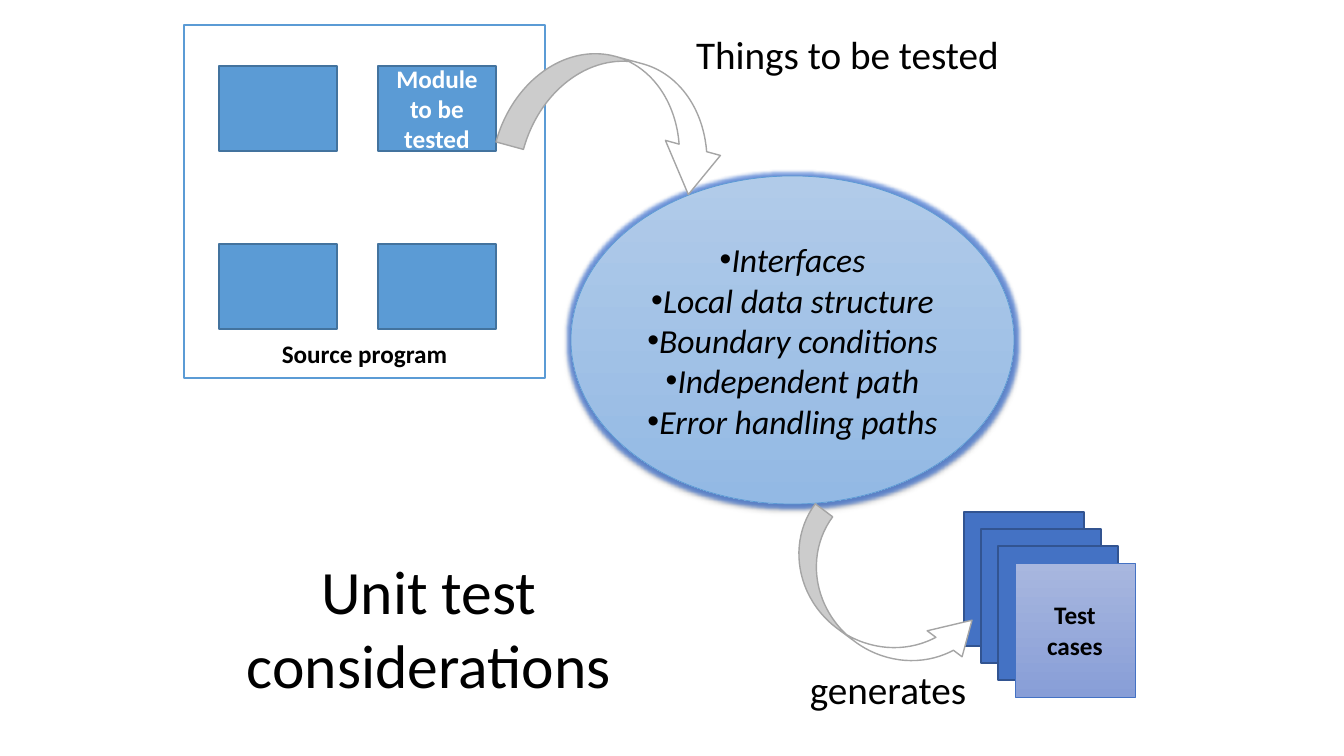
from lxml import etree
from pptx import Presentation
from pptx import util as u
from pptx.dml.color import RGBColor
from pptx.enum import shapes, text
from pptx.oxml import ns

PX = 914400 / 100.8
FONT = "Calibri"
COLORS = {
    "white": "FFFFFF", "black": "000000", "module": "5B9BD5", "module_line": "43739E",
    "case": "4472C4", "case_line": "325491", "arrow_line": "A5A5A5", "glow": "2E6BDC",
    "oval_top": "B1CBE9", "oval_bottom": "93B9E4",
    "case_top": "A8B7DF", "case_bottom": "889ED7",
}
TITLE = ("Things to be tested", (686, 25, 328, 63))
PROGRAM = ("Source program", (184, 25, 361, 353))
MODULES = [["", "Module to be tested"], ["", ""]]
MODULE_START, MODULE_STEP, MODULE_SIZE = (219, 66), (159, 178), (118, 85)
CHECKS = ["Interfaces", "Local data structure", "Boundary conditions",
          "Independent path", "Error handling paths"]
OVAL = (571, 176, 443, 328)
CASES = ["", "", "", "Test cases"]
CASE_START, CASE_STEP, CASE_SIZE = (964, 512), 17, (120, 134)
ARROWS = [((768, 560, 217, 87), 36.6, True), ((507, 60, 228, 114), 15.3, False)]
LABELS = [("generates", (792, 663, 192, 51), 28),
          ("Unit test considerations", (219, 546, 420, 162), 44)]


def emu(px):
    return u.Emu(round(px * PX))


def rgb(name):
    return RGBColor.from_string(COLORS[name])


def write(shape, lines, size, color="black", bold=False, italic=False,
          align=text.PP_ALIGN.CENTER, anchor=text.MSO_ANCHOR.MIDDLE):
    frame = shape.text_frame
    frame.word_wrap = True
    frame.auto_size = text.MSO_AUTO_SIZE.NONE
    frame.vertical_anchor = anchor
    for index, line in enumerate(lines):
        paragraph = frame.add_paragraph() if index else frame.paragraphs[0]
        paragraph.alignment = align
        run = paragraph.add_run()
        run.text = line
        font = run.font
        font.name, font.size = FONT, u.Pt(size)
        font.bold, font.italic = bold, italic
        font.color.rgb = rgb(color)
    return frame


def draw(slide, kind, box, fills, line, width=1):
    shape = slide.shapes.add_shape(kind, *map(emu, box))
    shape.shadow.inherit = False
    if len(fills) == 1:
        shape.fill.solid()
        shape.fill.fore_color.rgb = rgb(fills[0])
    else:
        shape.fill.gradient()
        shape.fill.gradient_angle = 270
        for stop, name in zip(shape.fill.gradient_stops, fills):
            stop.color.rgb = rgb(name)
    shape.line.color.rgb = rgb(line)
    shape.line.width = u.Pt(width)
    return shape


def add_effect(shape, tag, color, alpha, **attributes):
    effects = shape._element.spPr.find(ns.qn("a:effectLst"))
    effect = etree.SubElement(effects, ns.qn(tag), **attributes)
    shade = etree.SubElement(effect, ns.qn("a:srgbClr"), val=COLORS[color])
    etree.SubElement(shade, ns.qn("a:alpha"), val=str(alpha * 1000))


def add_bullet(paragraph):
    properties = paragraph._p.get_or_add_pPr()
    properties.set("marL", str(emu(12)))
    properties.set("indent", str(-emu(12)))
    etree.SubElement(properties, ns.qn("a:buFont"), typeface="Arial")
    etree.SubElement(properties, ns.qn("a:buChar"), char="•")


def add_modules(slide):
    caption, box = PROGRAM
    program = draw(slide, shapes.MSO_SHAPE.RECTANGLE, box, ["white"], "module")
    frame = write(program, [caption], 18, bold=True, anchor=text.MSO_ANCHOR.BOTTOM)
    frame.margin_bottom = emu(9)
    for row, names in enumerate(MODULES):
        for column, name in enumerate(names):
            left = MODULE_START[0] + column * MODULE_STEP[0]
            top = MODULE_START[1] + row * MODULE_STEP[1]
            module = draw(slide, shapes.MSO_SHAPE.RECTANGLE, (left, top, *MODULE_SIZE),
                          ["module"], "module_line")
            if name:
                write(module, [name], 18, "white", bold=True)


def add_checks(slide):
    oval = draw(slide, shapes.MSO_SHAPE.OVAL, OVAL, ["oval_top", "oval_bottom"], "module", 0.5)
    add_effect(oval, "a:glow", "glow", 60, rad=str(u.Pt(5)))
    add_effect(oval, "a:outerShdw", "black", 38, blurRad=str(u.Pt(3.1)),
               dist=str(u.Pt(1.6)), dir="5400000", rotWithShape="0")
    for paragraph in write(oval, CHECKS, 24, italic=True).paragraphs:
        add_bullet(paragraph)


def add_cases(slide):
    for index, name in enumerate(CASES):
        left, top = (start + index * CASE_STEP for start in CASE_START)
        fills, line, width = ["case"], "case_line", 1
        if name:
            fills, line, width = ["case_top", "case_bottom"], "case", 0.5
        case = draw(slide, shapes.MSO_SHAPE.RECTANGLE, (left, top, *CASE_SIZE),
                    fills, line, width)
        if name:
            write(case, [name], 18, bold=True)


def add_arrows(slide):
    for box, rotation, flipped in ARROWS:
        arrow = draw(slide, shapes.MSO_SHAPE.CURVED_DOWN_ARROW, box, ["white"], "arrow_line")
        arrow.rotation = rotation
        arrow.adjustments[2] = 0.405
        if flipped:
            arrow._element.spPr.xfrm.set("flipV", "1")


def main():
    presentation = Presentation()
    presentation.slide_width, presentation.slide_height = emu(1344), emu(756)
    slide = presentation.slides.add_slide(presentation.slide_layouts[5])
    add_modules(slide)
    add_checks(slide)
    add_cases(slide)
    add_arrows(slide)
    caption, box = TITLE
    title = slide.shapes.title
    title.left, title.top, title.width, title.height = map(emu, box)
    frame = write(title, [caption], 28, align=text.PP_ALIGN.LEFT)
    frame.paragraphs[0].line_spacing = 0.9
    for caption, box, size in LABELS:
        write(slide.shapes.add_textbox(*map(emu, box)), [caption], size)
    presentation.save("out.pptx")


if __name__ == "__main__":
    main()
